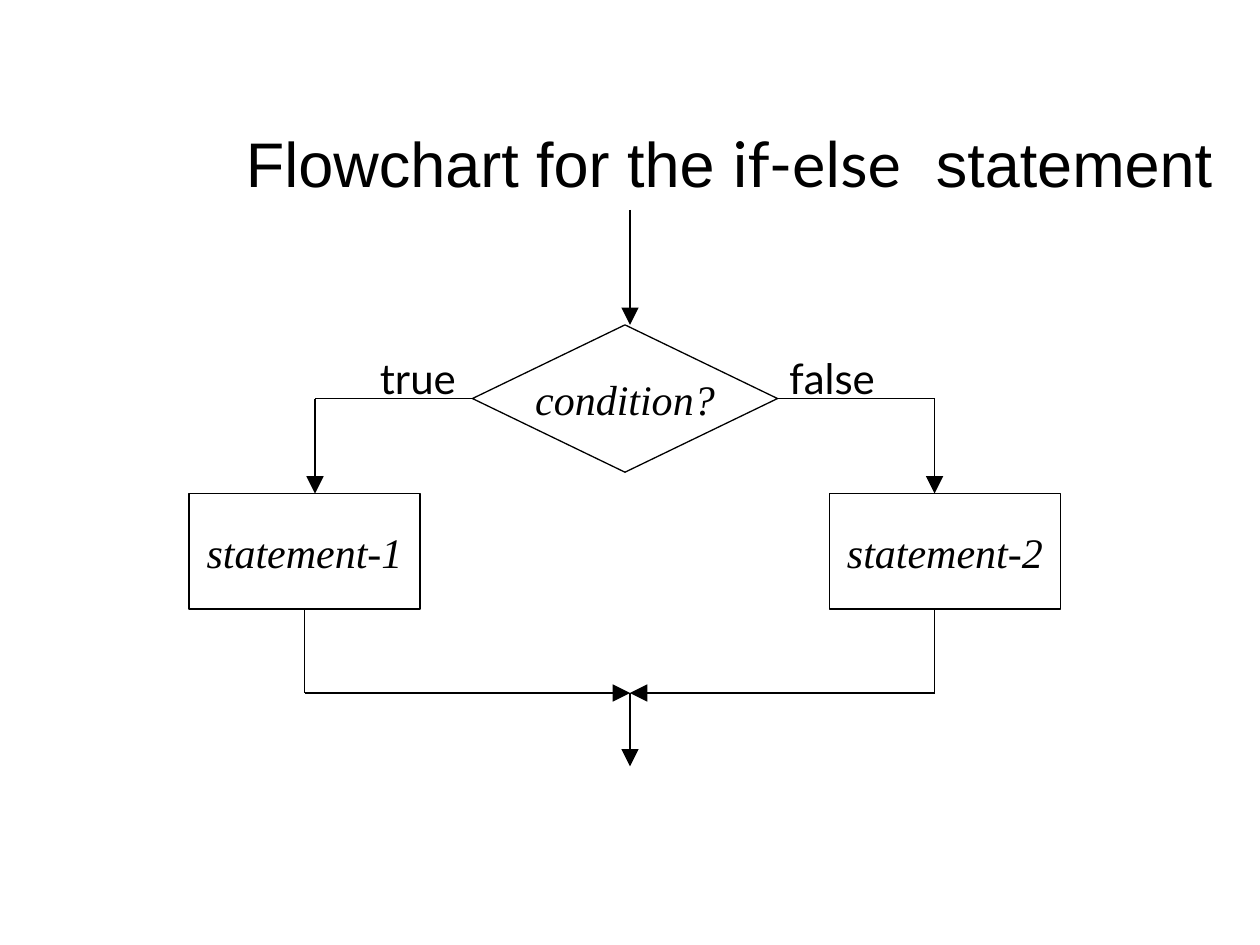
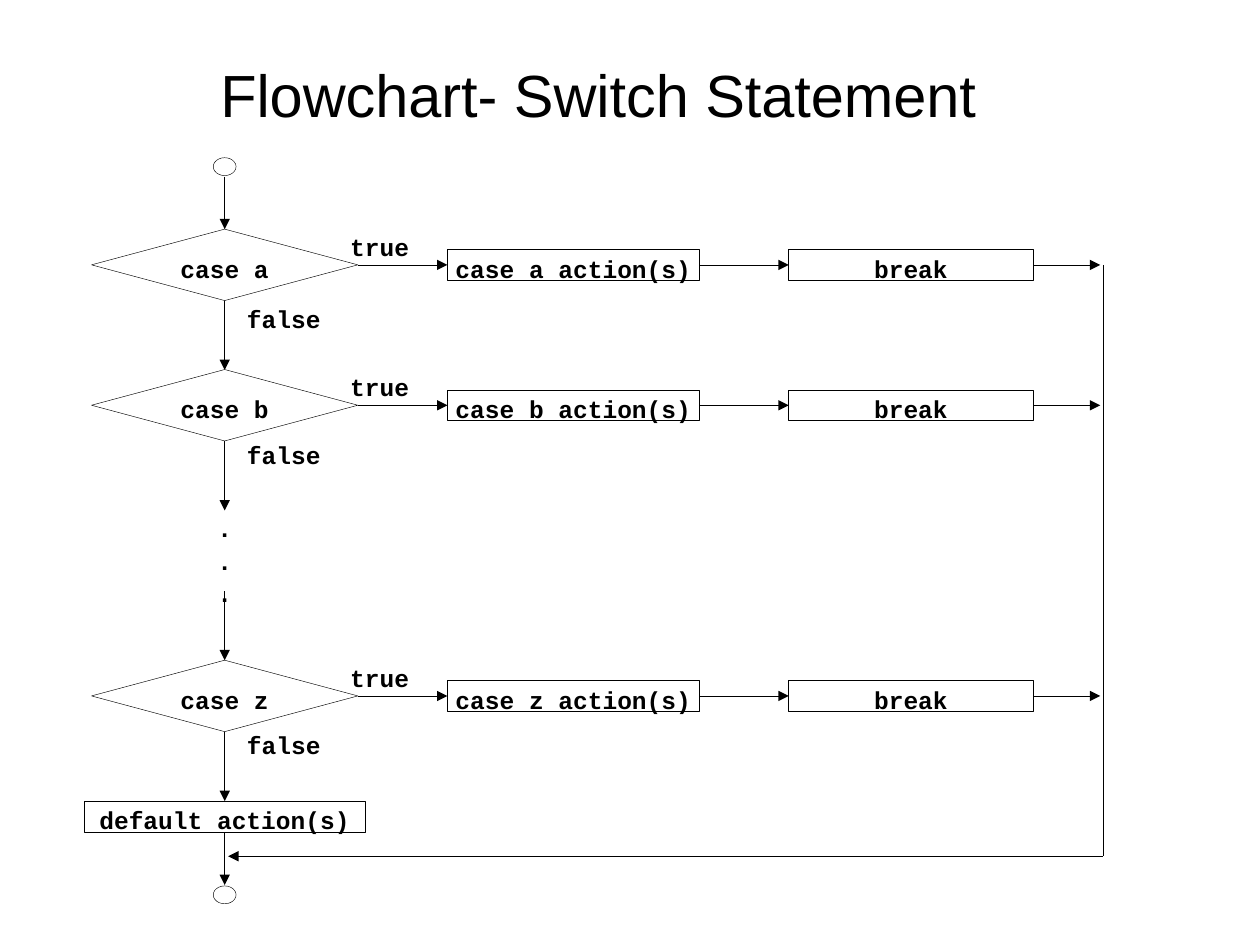
from dataclasses import dataclass

from lxml import etree
from pptx import Presentation
from pptx import util as u
from pptx.dml.color import RGBColor
from pptx.enum import shapes, text
from pptx.oxml import ns

BLACK = RGBColor(0, 0, 0)
WHITE = RGBColor(255, 255, 255)
TITLE_FONT = "Arial"
LABEL_FONT = "Lato"
CENTER = text.PP_ALIGN.CENTER
LEFT = text.PP_ALIGN.LEFT
TOP = text.MSO_ANCHOR.TOP
MIDDLE = text.MSO_ANCHOR.MIDDLE
BOTTOM = text.MSO_ANCHOR.BOTTOM
DECISION = shapes.MSO_SHAPE.FLOWCHART_DECISION
PROCESS = shapes.MSO_SHAPE.FLOWCHART_PROCESS
OVAL = shapes.MSO_SHAPE.OVAL


@dataclass
class Flowchart:
    """Style of one flowchart and the slide it is drawn on; lengths in cm."""
    slide: object
    font: str
    label_font: str
    size: float
    line_width: float
    arrow_size: str
    bold: bool = False
    italic: bool = False
    line_spacing: float = 1.0
    space_before: float = 0
    inset: bool = True

    def style_run(self, run, font, size, bold=False, italic=False):
        run.font.name = font
        run.font.size = u.Pt(size)
        run.font.bold = bold
        run.font.italic = italic
        run.font.color.rgb = BLACK

    def fill_text(self, frame, content, font, italic, align, anchor, top_margin=0):
        frame.text = content
        frame.vertical_anchor = anchor
        if not self.inset:
            frame.margin_left = frame.margin_right = frame.margin_bottom = 0
            frame.margin_top = u.Cm(top_margin)
        for paragraph in frame.paragraphs:
            paragraph.alignment = align
            paragraph.line_spacing = self.line_spacing
            paragraph.space_before = u.Pt(self.space_before)
            for run in paragraph.runs:
                self.style_run(run, font, self.size, self.bold, italic)

    def title(self, left, top, width, height, size, anchor, parts):
        box = self.slide.shapes.add_textbox(*map(u.Cm, (left, top, width, height)))
        frame = box.text_frame
        frame.word_wrap = True
        frame.vertical_anchor = anchor
        paragraph = frame.paragraphs[0]
        paragraph.alignment = CENTER
        for content, font in parts:
            run = paragraph.add_run()
            run.text = content
            self.style_run(run, font, size)

    def label(self, left, top, width, height, content, align=LEFT):
        box = self.slide.shapes.add_textbox(*map(u.Cm, (left, top, width, height)))
        box.text_frame.word_wrap = True
        self.fill_text(box.text_frame, content, self.label_font, False, align, TOP)

    def node(self, kind, center, top, width, height, content="",
             anchor=MIDDLE, top_margin=0, fill=None):
        shape = self.slide.shapes.add_shape(
            kind, *map(u.Cm, (center - width / 2, top, width, height)))
        shape.shadow.inherit = False
        if fill is None:
            shape.fill.background()
        else:
            shape.fill.solid()
            shape.fill.fore_color.rgb = fill
        shape.line.color.rgb = BLACK
        shape.line.width = u.Pt(self.line_width)
        if content:
            shape.text_frame.word_wrap = False
            self.fill_text(shape.text_frame, content, self.font, self.italic,
                           CENTER, anchor, top_margin)

    def line(self, start_x, start_y, end_x, end_y, arrow=False):
        connector = self.slide.shapes.add_connector(
            shapes.MSO_CONNECTOR.STRAIGHT,
            *map(u.Cm, (start_x, start_y, end_x, end_y)))
        connector.line.color.rgb = BLACK
        connector.line.width = u.Pt(self.line_width)
        properties = connector._element.spPr
        etree.SubElement(properties, ns.qn("a:effectLst"))
        if arrow:
            etree.SubElement(properties.find(ns.qn("a:ln")), ns.qn("a:tailEnd"),
                             type="triangle", w=self.arrow_size, len=self.arrow_size)

    def arrow(self, start_x, start_y, end_x, end_y):
        self.line(start_x, start_y, end_x, end_y, arrow=True)


def draw_if_else(slide):
    chart = Flowchart(slide, "Times New Roman", LABEL_FONT, 24, 0.74, "lg",
                      italic=True, space_before=15)
    chart.title(4.45, 0.97, 20.5, 3.18, 36, BOTTOM,
                [("Flowchart for the ", TITLE_FONT), ("if-else", LABEL_FONT),
                 ("  statement", TITLE_FONT)])

    # Condition
    axis, branch_y, box_top, box_bottom, merge_y = 12.7, 8.04, 9.95, 12.28, 13.97
    chart.arrow(axis, 4.23, axis, 6.55)
    chart.node(DECISION, 12.6, 6.55, 6.15, 2.97, "condition?")

    # Branches: label, label left, diamond corner, way in, way out, box centre
    branches = [
        ("true", 7.41, 9.53, 6.35, 6.14, 6.14, "statement-1"),
        ("false", 15.66, 15.68, 18.84, 18.84, 19.05, "statement-2"),
    ]
    for answer, label_left, corner, way_in, way_out, center, statement in branches:
        chart.label(label_left, 6.99, 2.34, 1.27, answer)
        chart.line(corner, branch_y, way_in, branch_y)
        chart.arrow(way_in, branch_y, way_in, box_top)
        chart.node(PROCESS, center, box_top, 4.66, box_bottom - box_top, statement)
        chart.line(way_out, box_bottom, way_out, merge_y)
        chart.arrow(way_out, merge_y, axis, merge_y)

    # Exit
    chart.arrow(axis, merge_y, axis, 15.45)


def draw_switch(slide):
    chart = Flowchart(slide, "Courier New", "Courier New", 14, 0.26, "med",
                      bold=True, line_spacing=0.9, space_before=3.5, inset=False)
    chart.title(1.27, 0.84, 21.59, 2.11, 34, MIDDLE,
                [("Flowchart- Switch Statement", TITLE_FONT)])

    axis, rail, return_y = 4.53, 22.23, 17.26
    diamond_width, diamond_height, bar_height = 5.37, 1.44, 0.62
    action_left, action_right, break_left, break_right = 9.02, 14.1, 15.9, 20.83

    def bar(left, right, top, content):
        chart.node(PROCESS, (left + right) / 2, top, right - left, bar_height,
                   content, TOP, 0.15)

    # Start and end
    for top in (3.18, 17.86):
        chart.node(OVAL, axis, top, 0.46, 0.36)
    chart.arrow(axis, 3.56, axis, 4.62)

    # Cases: letter, centre line, top of the "false" label
    for letter, middle, false_top in [("a", 5.34, 6.2), ("b", 8.17, 8.94),
                                      ("z", 14.03, 14.78)]:
        bottom = middle + diamond_height / 2
        bar_top = middle - bar_height / 2
        chart.node(DECISION, axis, middle - diamond_height / 2, diamond_width,
                   diamond_height, f"case {letter}", TOP, 0.2, WHITE)
        bar(action_left, action_right, bar_top, f"case {letter} action(s)")
        bar(break_left, break_right, bar_top, "break")
        for start, end in [(axis + diamond_width / 2, action_left),
                           (action_right, break_left), (break_right, rail - 0.05)]:
            chart.arrow(start, middle, end, middle)
        chart.arrow(axis, bottom, axis, bottom + 1.4)
        chart.label(7.06, middle - 0.6, 1.57, 0.71, "true")
        chart.label(4.98, false_top, 1.93, 0.71, "false")

    # Cases left out
    chart.label(axis - 0.23, 10.41, 0.46, 1.73, ".\n.\n.", CENTER)
    chart.arrow(axis, 11.92, axis, 13.31)

    # Default and way back from the breaks
    bar(1.69, 7.37, 16.15, "default action(s)")
    chart.arrow(axis, 16.78, axis, 17.84)
    chart.line(rail, 5.34, rail, return_y)
    chart.arrow(rail, return_y, 4.6, return_y)


presentation = Presentation()
presentation.slide_width = u.Cm(25.4)
presentation.slide_height = u.Cm(19.05)
blank = presentation.slide_layouts[6]
for draw in (draw_if_else, draw_switch):
    draw(presentation.slides.add_slide(blank))
presentation.save("out.pptx")
